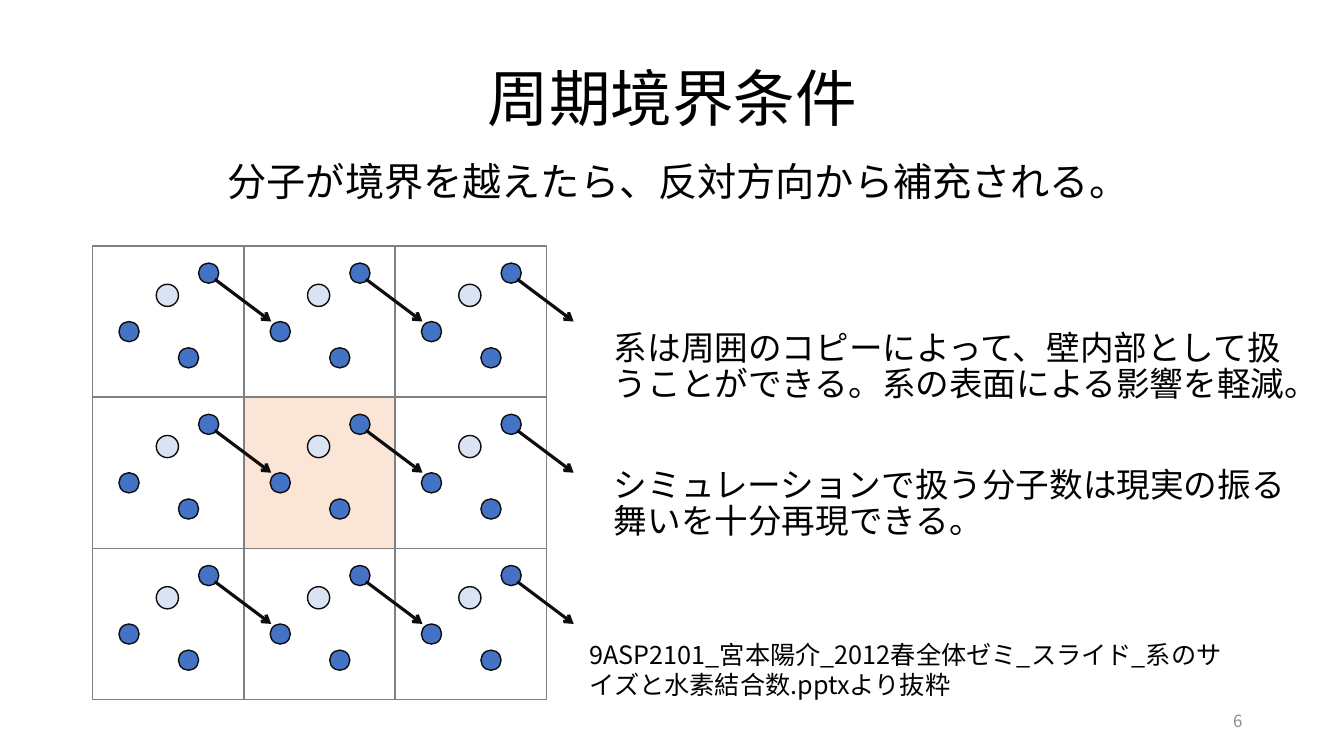
from lxml import etree
from pptx import Presentation
from pptx.dml.color import RGBColor
from pptx.enum.shapes import MSO_CONNECTOR, MSO_SHAPE
from pptx.enum.text import MSO_ANCHOR, PP_ALIGN
from pptx.oxml.ns import qn
from pptx.util import Inches, Pt

BLACK = RGBColor(0x00, 0x00, 0x00)
INK = RGBColor(0x0D, 0x0D, 0x0D)
GRAY = RGBColor(0x80, 0x80, 0x80)
PAGE_GRAY = RGBColor(0x8C, 0x8C, 0x8C)
BLUE = RGBColor(0x44, 0x72, 0xC4)
PALE_BLUE = RGBColor(0xDA, 0xE3, 0xF3)
PEACH = RGBColor(0xFB, 0xE5, 0xD6)

GRID_LEFT, GRID_TOP, CELL = 0.92, 2.44, 1.5
# Offsets inside a cell: left, top, diameter, fill
MOLECULES = [
    (0.26, 0.75, 0.2, BLUE),
    (0.85, 1.01, 0.2, BLUE),
    (0.63, 0.38, 0.22, PALE_BLUE),
    (1.05, 0.17, 0.2, BLUE),
]
ARROW_START, ARROW_END = (1.21, 0.33), (1.77, 0.75)


class SlideBuilder:
    font = "Noto Sans CJK JP"

    def __init__(self, slide):
        self.shapes = slide.shapes

    def text(self, box, paragraphs, size, color=BLACK, align=PP_ALIGN.LEFT,
             anchor=MSO_ANCHOR.TOP, line_spacing=None, gap=0):
        tf = self.shapes.add_textbox(*map(Inches, box)).text_frame
        tf.word_wrap = True
        tf.vertical_anchor = anchor
        for i, content in enumerate(paragraphs):
            p = tf.add_paragraph() if i else tf.paragraphs[0]
            p.text = content
            p.alignment = align
            if line_spacing:
                p.line_spacing = line_spacing
            if i:
                p.space_before = Pt(gap)
            for r in p.runs:
                r.font.size = Pt(size)
                r.font.name = self.font
                r.font.color.rgb = color
                ea = etree.SubElement(r.font._element, qn("a:ea"))
                ea.set("typeface", self.font)

    def shape(self, kind, box, line, fill=None):
        sp = self.shapes.add_shape(kind, *map(Inches, box))
        sp.shadow.inherit = False
        sp.line.color.rgb = line
        sp.line.width = Pt(1)
        if fill is None:
            sp.fill.background()
        else:
            sp.fill.solid()
            sp.fill.fore_color.rgb = fill

    def arrow(self, start, end):
        cxn = self.shapes.add_connector(
            MSO_CONNECTOR.STRAIGHT, *map(Inches, (*start, *end)))
        cxn.line.color.rgb = INK
        cxn.line.width = Pt(2.25)
        etree.SubElement(cxn.line._get_or_add_ln(), qn("a:tailEnd"), type="arrow")
        etree.SubElement(cxn._element.spPr, qn("a:effectLst"))

    def molecules(self, x, y):
        """Draw one cell's molecules and the arrow leaving the cell."""
        for dx, dy, d, fill in MOLECULES:
            self.shape(MSO_SHAPE.OVAL, (x + dx, y + dy, d, d), INK, fill)
        self.arrow((x + ARROW_START[0], y + ARROW_START[1]),
                   (x + ARROW_END[0], y + ARROW_END[1]))


def main():
    prs = Presentation()
    prs.slide_width, prs.slide_height = Inches(13.33), Inches(7.5)
    s = SlideBuilder(prs.slides.add_slide(prs.slide_layouts[6]))

    s.text((0.92, 0.4, 11.5, 1.22), ["周期境界条件"], 44,
           align=PP_ALIGN.CENTER, anchor=MSO_ANCHOR.MIDDLE, line_spacing=0.9)
    s.text((5.99, 3.24, 7.05, 2.37), [
        "系は周囲のコピーによって、壁内部として扱うことができる。系の表面による影響を軽減。",
        "シミュレーションで扱う分子数は現実の振る舞いを十分再現できる。",
    ], 24, line_spacing=0.9, gap=46)

    cells = [(GRID_LEFT + col * CELL, GRID_TOP + row * CELL)
             for row in range(3) for col in range(3)]
    center = cells[4]
    for cell in cells:
        s.shape(MSO_SHAPE.RECTANGLE, (*cell, CELL, CELL), GRAY,
                PEACH if cell == center else None)
    for cell in cells:
        s.molecules(*cell)

    s.text((9.42, 6.95, 3, 0.4), ["6"], 12, PAGE_GRAY,
           PP_ALIGN.RIGHT, MSO_ANCHOR.MIDDLE)
    s.text((2.16, 1.51, 9.36, 0.57),
           ["分子が境界を越えたら、反対方向から補充される。"], 28)
    s.text((5.75, 6.29, 6.67, 0.71),
           ["9ASP2101_宮本陽介_2012春全体ゼミ_スライド_系のサイズと水素結合数.pptxより抜粋"], 18)

    prs.save("out.pptx")


if __name__ == "__main__":
    main()
